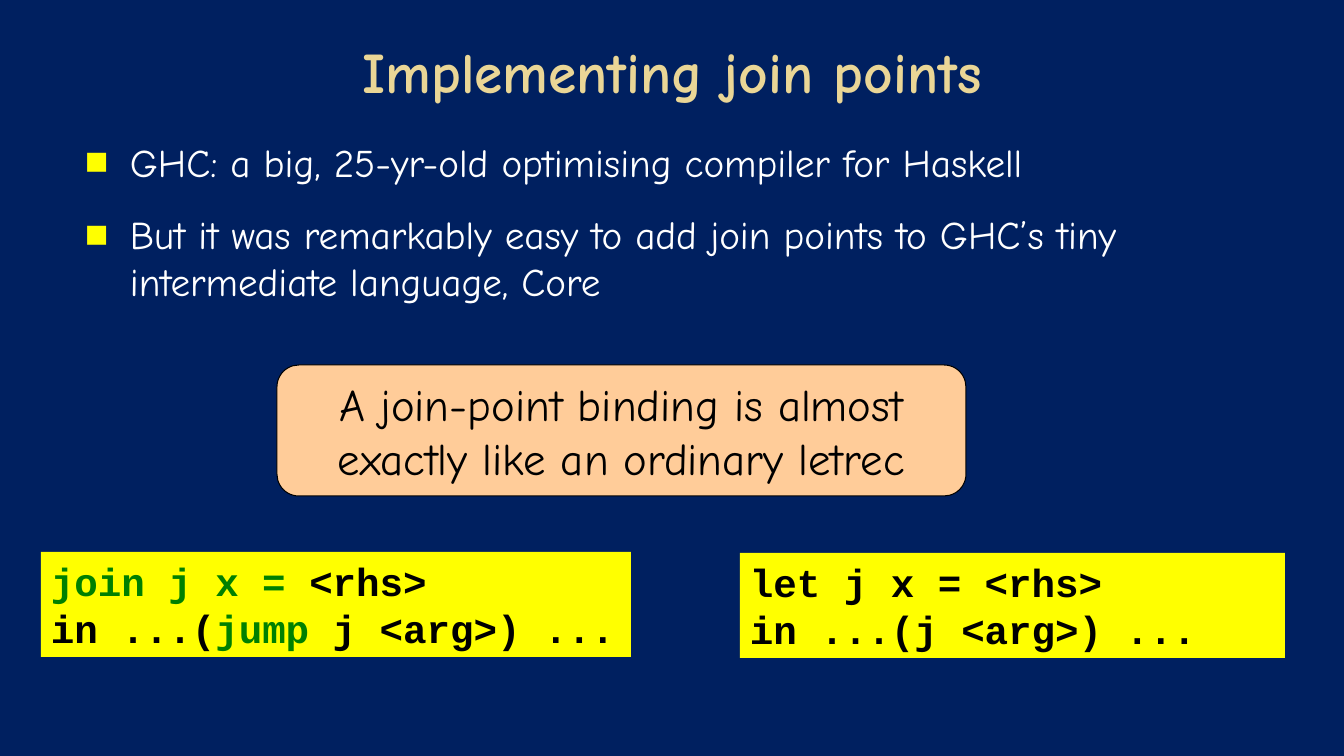
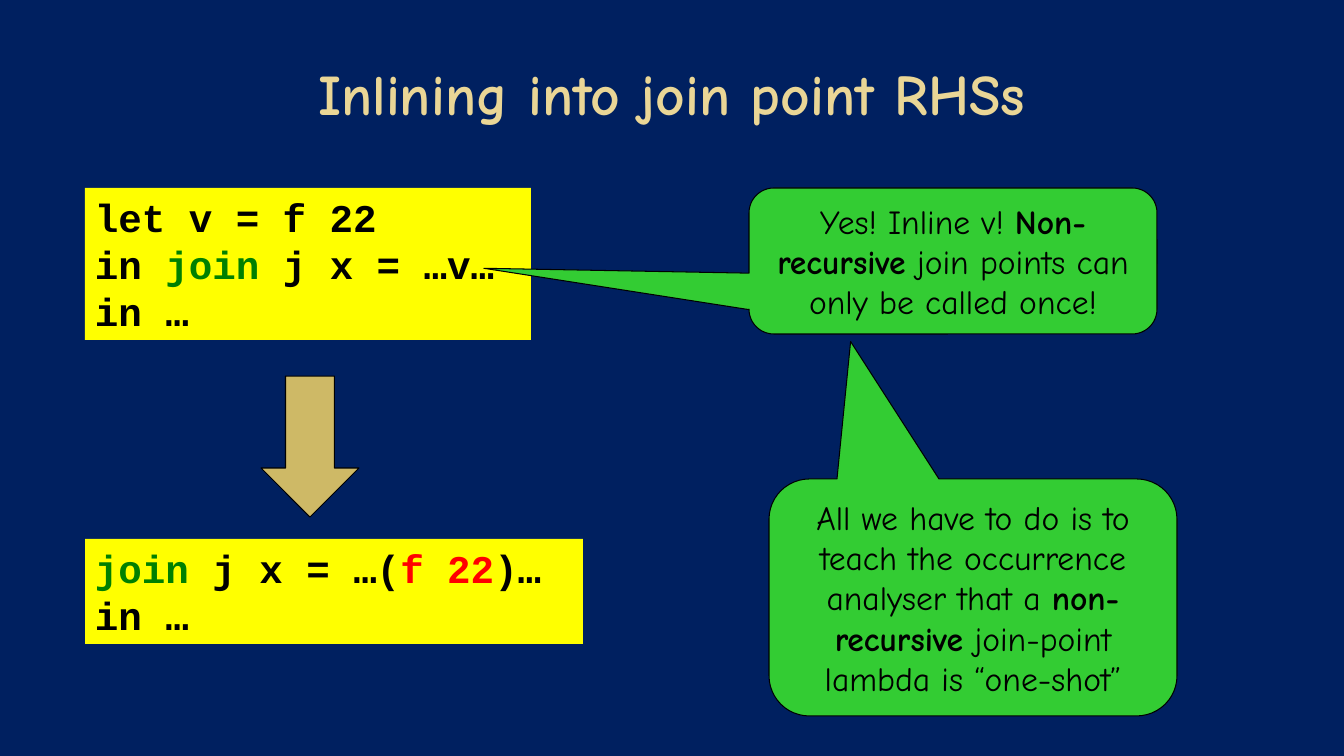
from lxml import etree
from pptx import Presentation
from pptx import util as u
from pptx.dml.color import RGBColor
from pptx.enum import shapes, text
from pptx.oxml import ns

PX = 914400 / 100.8  # EMU in one px
SHAPE, ALIGN, ANCHOR = shapes.MSO_SHAPE, text.PP_ALIGN, text.MSO_ANCHOR
GROW, FIXED = text.MSO_AUTO_SIZE.SHAPE_TO_FIT_TEXT, text.MSO_AUTO_SIZE.NONE
HAND, MONO = "Comic Neue", "Courier New"

# Theme: colours, type sizes and box styles
NAVY, GOLD, WHITE, BLACK = "002060", "EAD696", "FFFFFF", "000000"
YELLOW, PEACH, LIME, SAND = "FFFF00", "FFCC99", "33CC33", "CEB966"
GREEN, RED = "008000", "FF0000"
THEME = {
    "title": dict(name=HAND, size=41, bold=True, color=GOLD, align=ALIGN.CENTER),
    "body": dict(name=HAND, size=28, color=WHITE, bullet=YELLOW, gap=18),
    "code": dict(name=MONO, size=28, bold=True, color=BLACK, fill=YELLOW, fit=GROW),
    "claim": dict(name=HAND, size=32, color=BLACK, fill=PEACH, line=BLACK,
                  align=ALIGN.CENTER, anchor=ANCHOR.MIDDLE, fit=GROW),
    "callout": dict(name=HAND, size=24, color=BLACK, fill=LIME, line=BLACK,
                    align=ALIGN.CENTER, anchor=ANCHOR.MIDDLE, fit=GROW),
    "arrow": dict(fill=SAND, line=BLACK),
}
KEYWORD, RESULT, STRONG = dict(color=GREEN), dict(color=RED), dict(bold=True)


def add_bullet(p, color):
    pPr = p._p.get_or_add_pPr()
    pPr.set("marL", str(round(60 * PX)))
    pPr.set("indent", str(round(-45 * PX)))
    clr = etree.SubElement(pPr, ns.qn("a:buClr"))
    etree.SubElement(clr, ns.qn("a:srgbClr"), val=color)
    etree.SubElement(pPr, ns.qn("a:buFont"), typeface="Arial")
    etree.SubElement(pPr, ns.qn("a:buChar"), char="■")


def add_box(s, style, at, paragraphs=(), kind=SHAPE.RECTANGLE, adjust=(), **changes):
    """Each paragraph is a list of runs: plain text, or (text, format values)."""
    look = {**THEME[style], **changes}
    sp = s.shapes.add_shape(kind, *(round(n * PX) for n in at))
    sp.shadow.inherit = False
    for i, value in enumerate(adjust):
        sp.adjustments[i] = value
    if "fill" in look:
        sp.fill.solid()
        sp.fill.fore_color.rgb = RGBColor.from_string(look["fill"])
    else:
        sp.fill.background()
    if "line" in look:
        sp.line.color.rgb = RGBColor.from_string(look["line"])
        sp.line.width = u.Pt(0.75)
    else:
        sp.line.fill.background()

    tf = sp.text_frame
    frame = dict(word_wrap=True, auto_size=look.get("fit", FIXED),
                 vertical_anchor=look.get("anchor", ANCHOR.TOP))
    for key, value in frame.items():
        setattr(tf, key, value)
    for i, runs in enumerate(paragraphs):
        p = tf.paragraphs[0] if i == 0 else tf.add_paragraph()
        p.alignment = look.get("align", ALIGN.LEFT)
        if "bullet" in look:
            add_bullet(p, look["bullet"])
        if i and "gap" in look:
            p.space_before = u.Pt(look["gap"])
        for run in runs:
            words, own = (run, {}) if isinstance(run, str) else run
            fmt = {**look, **own}
            r = p.add_run()
            r.text = words
            font = dict(name=fmt["name"], size=u.Pt(fmt["size"]),
                        bold=fmt.get("bold", False))
            for key, value in font.items():
                setattr(r.font, key, value)
            r.font.color.rgb = RGBColor.from_string(fmt["color"])


prs = Presentation()
prs.slide_width, prs.slide_height = round(1344 * PX), round(756 * PX)
bg = prs.slide_master.background.fill
bg.solid()
bg.fore_color.rgb = RGBColor.from_string(NAVY)
blank = prs.slide_layouts[6]

# Slide 1: join points in the compiler
s = prs.slides.add_slide(blank)
add_box(s, "title", (221, 31, 903, 105), [["Implementing join points"]])
add_box(s, "body", (60, 133, 1226, 524), [
    ["GHC: a big, 25-yr-old optimising compiler for Haskell"],
    ["But it was remarkably easy to add join points to GHC’s tiny "
     "intermediate language, Core"],
])
add_box(s, "claim", (277, 365, 689, 131),
        [["A join-point binding is almost exactly like an ordinary letrec"]],
        SHAPE.ROUNDED_RECTANGLE)
add_box(s, "code", (41, 552, 590, 105), [
    [("join j x = ", KEYWORD), "<rhs>"],
    ["in ...(", ("jump", KEYWORD), " j <arg>) ..."],
])
add_box(s, "code", (740, 553, 545, 105), [["let j x = <rhs>"], ["in ...(j <arg>) ..."]])

# Slide 2: inlining, before and after
s = prs.slides.add_slide(blank)
add_box(s, "title", (67, 30, 1210, 126), [["Inlining into join point RHSs"]],
        anchor=ANCHOR.MIDDLE)
add_box(s, "code", (85, 188, 446, 152), [
    ["let v = f 22"],
    ["in ", ("join", KEYWORD), " j x = …v…"],
    ["in …"],
])
add_box(s, "code", (85, 539, 498, 105), [
    [("join", KEYWORD), " j x = …(", ("f 22", RESULT), ")…"],
    ["in …"],
])
add_box(s, "arrow", (261, 376, 98, 141), kind=SHAPE.DOWN_ARROW)

# Callouts: place, pointer tip, text
callouts = [
    ((749, 188, 408, 146), (-1.15, 0.05),
     ["Yes! Inline v! ", ("Non-recursive", STRONG),
      " join points can only be called once!"]),
    ((769, 479, 408, 237), (-0.3, -1.08),
     ["All we have to do is to teach the occurrence analyser that a ",
      ("non-recursive", STRONG), " join-point lambda is “one-shot”"]),
]
for at, tip, runs in callouts:
    add_box(s, "callout", at, [runs], SHAPE.ROUNDED_RECTANGULAR_CALLOUT, (*tip, 0.17))

prs.save("out.pptx")
